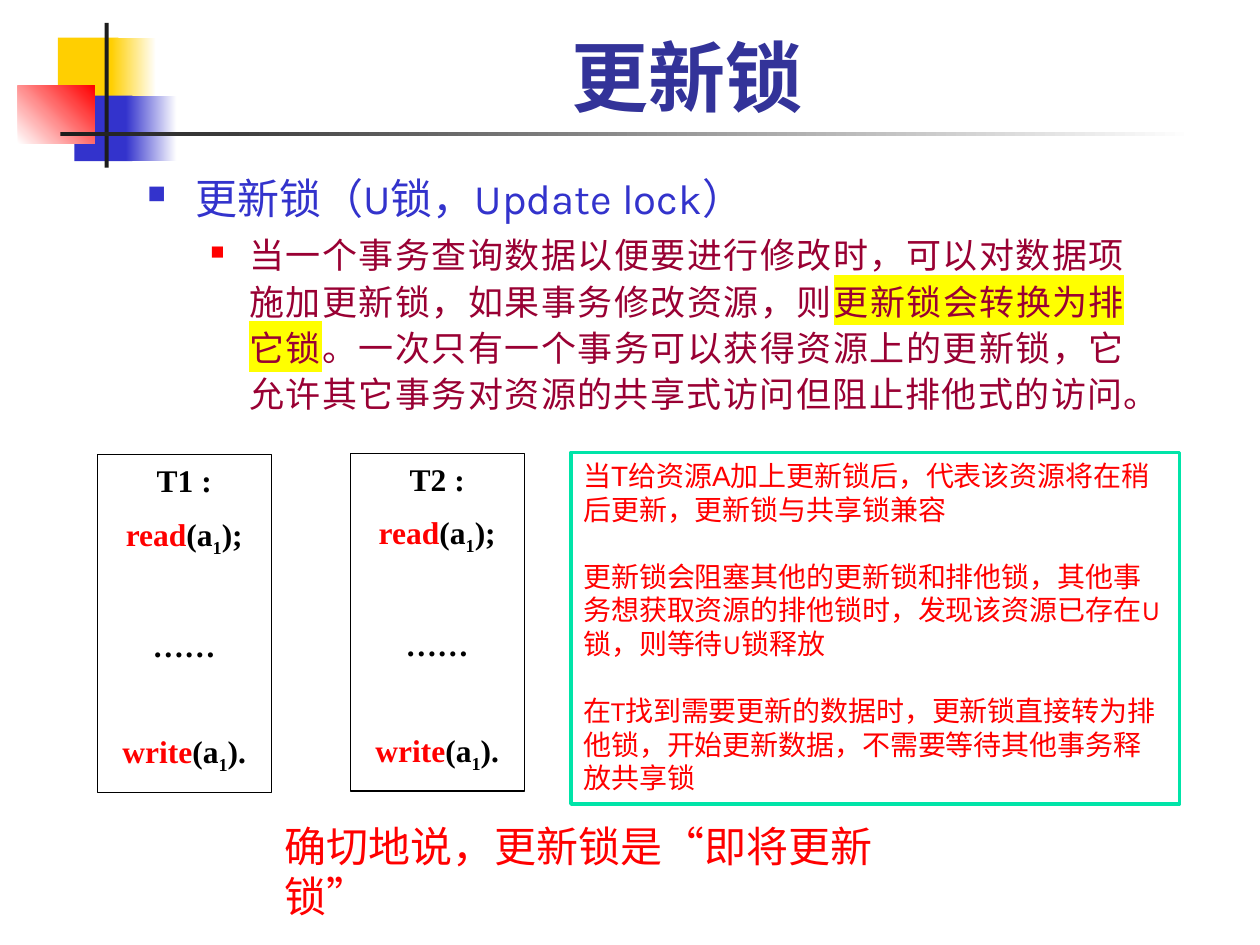
from lxml import etree
from pptx import Presentation
from pptx.dml.color import RGBColor
from pptx.enum.shapes import MSO_SHAPE
from pptx.enum.text import MSO_ANCHOR, PP_ALIGN
from pptx.oxml.ns import qn
from pptx.util import Cm, Pt

RECTANGLE = MSO_SHAPE.RECTANGLE
TOP, BOTTOM = MSO_ANCHOR.TOP, MSO_ANCHOR.BOTTOM
LEFT, CENTER, JUSTIFY = PP_ALIGN.LEFT, PP_ALIGN.CENTER, PP_ALIGN.JUSTIFY

YELLOW, BLUE, RED, DARK = "FFCF01", "3333CC", "FF0000", "1C1C1C"
WHITE, BLACK, NAVY, MAROON = "FFFFFF", "000000", "333399", "990033"
GREEN, MARKER = "00E4A8", "FFFF00"

DECORATION = [
    ((1.17, 0.76, 1.22, 1.32), (YELLOW,), 0),
    ((2.24, 0.76, 0.91, 1.32), (YELLOW, WHITE), 0),
    ((1.5, 1.93, 1.17, 1.32), (BLUE,), 0),
    ((2.54, 1.93, 1.02, 1.32), (BLUE, WHITE), 0),
    ((0.36, 1.73, 1.55, 1.17), (WHITE, RED), 45),
    ((2.11, 0.46, 0.08, 2.92), (DARK,), 0),
    ((1.22, 2.67, 22.86, 0.08), (DARK, WHITE), 0),
]
TITLE = "更新锁 "
HEADING = "更新锁（U锁，Update lock）"
DEFINITION = [
    ("当一个事务查询数据以便要进行修改时，可以对数据项施加更新锁，如果事务修改资源，则", None),
    ("更新锁会转换为排它锁", MARKER),
    ("。一次只有一个事务可以获得资源上的更新锁，它允许其它事务对资源的共享式访问但阻止排他式的访问。", None),
]
TRANSACTIONS = [("T1 :", 1.96, 9.17), ("T2 :", 7.06, 9.14)]
NOTES = [
    ("当T给资源A加上更新锁后，代表该资源将在稍后更新，更新锁与共享锁兼容", "Arial"),
    ("更新锁会阻塞其他的更新锁和排他锁，其他事务想获取资源的排他锁时，发现该资源已存在U锁，则等待U锁释放", "Karla"),
    ("在T找到需要更新的数据时，更新锁直接转为排他锁，开始更新数据，不需要等待其他事务释放共享锁", "Karla"),
]
SUMMARY = "确切地说，更新锁是“即将更新 锁”"


def color(value):
    return RGBColor.from_string(value)


def add_box(page, area, colors, angle=0, line=None, width=0.75):
    box = page.shapes.add_shape(RECTANGLE, *map(Cm, area))
    box.shadow.inherit = False
    if len(colors) == 1:
        box.fill.solid()
        box.fill.fore_color.rgb = color(colors[0])
    else:
        box.fill.gradient()
        box.fill.gradient_angle = angle
        for stop, value, position in zip(box.fill.gradient_stops, colors, (0, 1)):
            stop.color.rgb = color(value)
            stop.position = position
    if line:
        box.line.color.rgb = color(line)
        box.line.width = Pt(width)
    else:
        box.line.fill.background()
    return box


def text_frame(box, anchor=TOP):
    frame = box.text_frame
    frame.word_wrap = True
    frame.vertical_anchor = anchor
    return frame


def add_text(page, area, anchor=TOP):
    return text_frame(page.shapes.add_textbox(*map(Cm, area)), anchor)


def add_para(frame, align=LEFT, before=0, after=0, spacing=None):
    first = frame.paragraphs[0]
    para = first if not first.runs else frame.add_paragraph()
    para.alignment = align
    para.space_before, para.space_after = Pt(before), Pt(after)
    if spacing:
        para.line_spacing = spacing
    return para


def add_span(para, text, size, font, value, bold=False, highlight=None, subscript=False):
    span = para.add_run()
    span.text = text
    span.font.size, span.font.name, span.font.bold = Pt(size), font, bold
    span.font.color.rgb = color(value)
    properties = span.font._element
    if highlight:
        mark = etree.Element(qn("a:highlight"))
        etree.SubElement(mark, qn("a:srgbClr"), val=highlight)
        properties.find(qn("a:solidFill")).addnext(mark)
    if subscript:
        properties.set("baseline", "-25000")


def add_bullet(para, value, percent, margin, indent):
    properties = para._p.get_or_add_pPr()
    properties.set("marL", str(Cm(margin)))
    properties.set("indent", str(-Cm(indent)))
    tint = etree.SubElement(properties, qn("a:buClr"))
    etree.SubElement(tint, qn("a:srgbClr"), val=value)
    etree.SubElement(properties, qn("a:buSzPct"), val=str(percent * 1000))
    etree.SubElement(properties, qn("a:buChar"), char="■")


def add_transaction(page, name, left, top):
    frame = text_frame(add_box(page, (left, top, 3.51, 6.81), (WHITE,), line=BLACK))
    steps = [
        ([(name, BLACK, False)], 4.6),
        (call("read", ");"), 4.6),
        ([("……", BLACK, False)], 34.5),
        (call("write", ")."), 34.5),
    ]
    for spans, before in steps:
        para = add_para(frame, CENTER, before, 4.6)
        for text, value, subscript in spans:
            add_span(para, text, 18, "Times New Roman", value, True, subscript=subscript)


def call(action, ending):
    return [(action, RED, False), ("(a", BLACK, False), ("1", BLACK, True), (ending, BLACK, False)]


def main():
    deck = Presentation()
    deck.slide_width, deck.slide_height = Cm(25.4), Cm(19.05)
    page = deck.slides.add_slide(deck.slide_layouts[6])

    for area, colors, angle in DECORATION:
        add_box(page, area, colors, angle)

    title = add_text(page, (3.2, 0.46, 21.64, 2.13), BOTTOM)
    add_span(add_para(title, CENTER), TITLE, 44, "Karla", NAVY, True)

    body = add_text(page, (2.72, 3.25, 20.19, 5.89))
    heading = add_para(body, JUSTIFY, 4.8, spacing=1.1)
    add_bullet(heading, BLUE, 60, 0.97, 0.97)
    add_span(heading, HEADING, 24, "Karla", BLUE)
    definition = add_para(body, JUSTIFY, 4, spacing=1.1)
    definition.level = 1
    add_bullet(definition, RED, 55, 2.06, 0.79)
    for text, highlight in DEFINITION:
        add_span(definition, text, 20, "Karla", MAROON, highlight=highlight)

    for name, left, top in TRANSACTIONS:
        add_transaction(page, name, left, top)

    notes = text_frame(add_box(page, (11.51, 9.12, 12.27, 7.09), (WHITE,), line=GREEN, width=2))
    for index, (text, font) in enumerate(NOTES):
        add_span(add_para(notes, before=19.2 if index else 0), text, 16, font, RED)

    summary = add_text(page, (5.49, 16.41, 14.12, 1.27))
    add_span(add_para(summary), SUMMARY, 24, "Arial", RED)

    deck.save("out.pptx")


if __name__ == "__main__":
    main()
